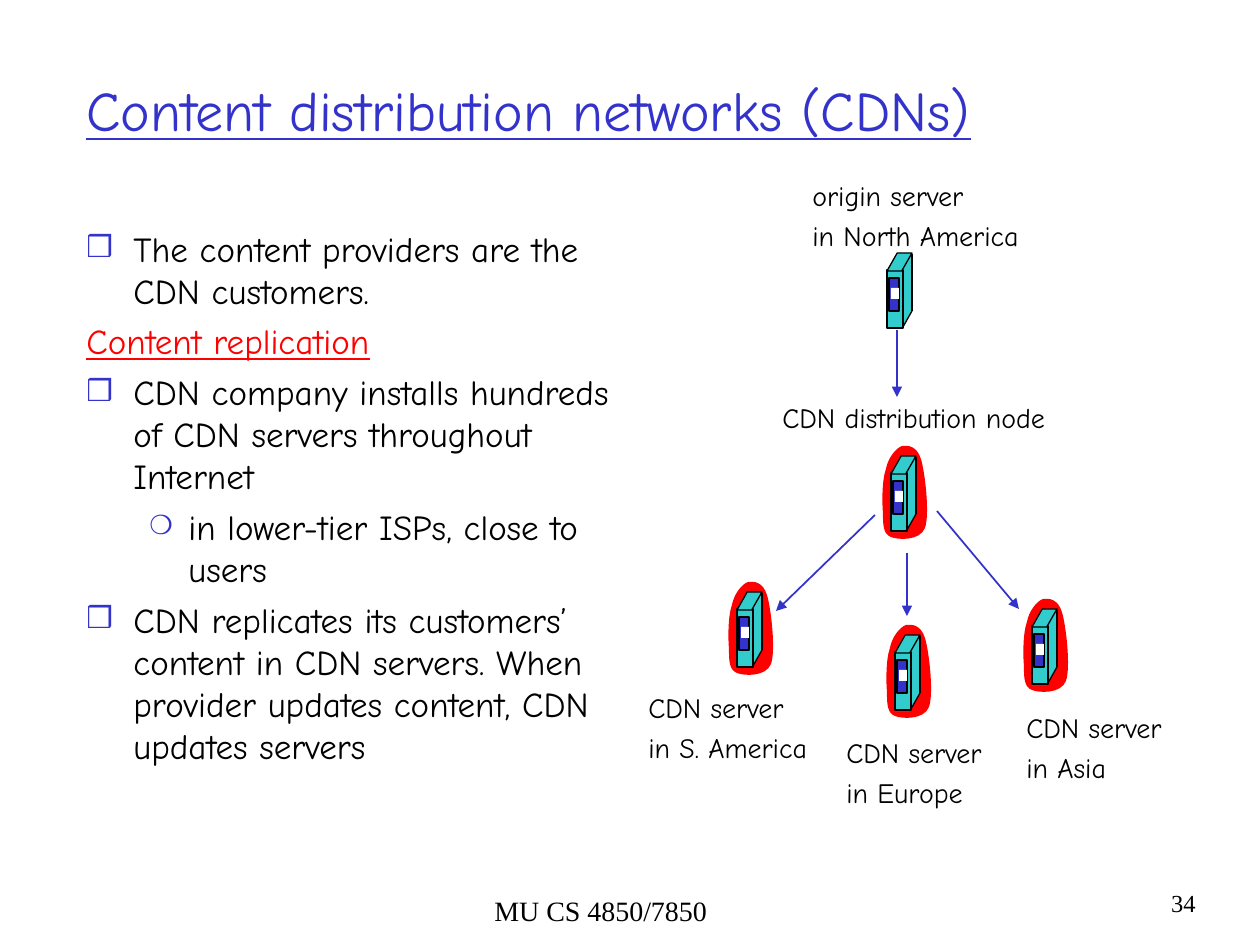
"""Build a slide on content distribution networks with a server diagram."""
from lxml.etree import SubElement
from pptx import Presentation
from pptx.dml.color import RGBColor
from pptx.enum.shapes import MSO_CONNECTOR, MSO_SHAPE
from pptx.enum.text import MSO_ANCHOR, MSO_AUTO_SIZE, PP_ALIGN
from pptx.oxml.ns import qn
from pptx.util import Pt

SCALE = 914400 / 126
COLOURS = {name: RGBColor.from_string(code) for name, code in {
    "black": "000000", "blue": "3333CC", "red": "FF0000",
    "teal": "33CCCC", "white": "FFFFFF"}.items()}
COMIC, TIMES = "Comic Neue", "Times New Roman"
FIXED = {"word_wrap": True}
LABEL = {"word_wrap": False, "auto_size": MSO_AUTO_SIZE.SHAPE_TO_FIT_TEXT}


def add_text(at, rows, size, name, frame_format, gap=4):
    box = page.shapes.add_textbox(*[round(value * SCALE) for value in at])
    frame = box.text_frame
    for key, value in frame_format.items():
        setattr(frame, key, value)
    for index, row in enumerate(rows):
        para = frame.add_paragraph() if index else frame.paragraphs[0]
        para.alignment = row.get("align", PP_ALIGN.LEFT)
        para.space_before = Pt(gap if index else 0)
        properties = para._p.get_or_add_pPr()
        if "indent" in row:
            left, hang = row["indent"]
            properties.set("marL", str(round(left * SCALE)))
            properties.set("indent", str(round(-hang * SCALE)))
        if "bullet" in row:
            character, percent = row["bullet"]
            colour = SubElement(properties, qn("a:buClr"))
            SubElement(colour, qn("a:srgbClr"), val=str(COLOURS["blue"]))
            SubElement(properties, qn("a:buSzPct"), val=str(percent * 1000))
            SubElement(properties, qn("a:buFont"), typeface=name)
            SubElement(properties, qn("a:buChar"), char=character)
        span = para.add_run()
        span.text = row["text"]
        font_format = {"size": Pt(size), "name": name, "underline": row.get("underline", False)}
        for key, value in font_format.items():
            setattr(span.font, key, value)
        span.font.color.rgb = COLOURS[row.get("colour", "black")]


def add_line(shapes, ends, colour, width):
    line = shapes.add_connector(MSO_CONNECTOR.STRAIGHT, *[round(end * SCALE) for end in ends])
    line.line.color.rgb = COLOURS[colour]
    line.line.width = Pt(width)
    SubElement(line._element.spPr, qn("a:effectLst"))
    return line


deck = Presentation()
deck.slide_width, deck.slide_height = round(1260 * SCALE), round(945 * SCALE)
page = deck.slides.add_slide(deck.slide_layouts[6])

add_text((482, 887, 238, 47), [{"text": "MU CS 4850/7850"}], 16, TIMES, LABEL)
add_text((1145, 882, 63, 63), [{"text": "34", "align": PP_ALIGN.RIGHT}], 14, TIMES, FIXED)
add_text((74, 31, 1106, 157),
         [{"text": "Content distribution networks (CDNs)", "colour": "blue", "underline": True}],
         32, COMIC, {**FIXED, "vertical_anchor": MSO_ANCHOR.MIDDLE})

level_one = {"indent": (47, 47), "bullet": ("❒", 85)}
level_two = {"indent": (102, 39), "bullet": ("❍", 75)}
heading = {"indent": (47, 47), "colour": "red", "underline": True}
add_text((74, 221, 561, 640), [
    {"text": "The content providers are the CDN customers.", **level_one},
    {"text": "Content replication", **heading},
    {"text": "CDN company installs hundreds of CDN servers throughout Internet", **level_one},
    {"text": "in lower-tier ISPs, close to users", **level_two},
    {"text": "CDN replicates its customers’ content in CDN servers. "
             "When provider updates content, CDN updates servers", **level_one},
], 20, COMIC, FIXED, gap=5)

blob_points = [
    (4, 24),
    (6, 13), (14, 3), (20, 1),
    (26, 0), (35, 1), (39, 14),
    (43, 27), (48, 69), (43, 83),
    (38, 96), (16, 95), (9, 92),
    (1, 89), (1, 79), (1, 68),
    (0, 57), (0, 35), (4, 24),
]
tower_parts = [
    (MSO_SHAPE.PARALLELOGRAM, (0, 58, 25, 18), "teal", False),
    (MSO_SHAPE.RECTANGLE, (13, 1, 11, 58), "teal", False),
    (MSO_SHAPE.RECTANGLE, (0, 17, 16, 58), "teal", True),
    (MSO_SHAPE.PARALLELOGRAM, (0, 0, 25, 18), "teal", True),
    (MSO_SHAPE.RECTANGLE, (2, 25, 10, 33), "blue", True),
    (MSO_SHAPE.RECTANGLE, (4, 35, 8, 11), "white", False),
]
tower_edges = [(25, 1, 25, 58), (25, 58, 16, 74)]
servers = [(887, 253, False), (737, 592, True), (895, 635, True),
           (1032, 609, True), (891, 456, True)]
for left, top, in_network in servers:
    shapes = page.shapes.add_group_shape().shapes
    if in_network:
        outline = [(round((left - 9 + x) * SCALE), round((top - 11 + y) * SCALE))
                   for x, y in blob_points]
        builder = shapes.build_freeform(*outline[0])
        builder.add_line_segments(outline[1:], close=True)
        blob = builder.convert_to_shape()
        blob.shadow.inherit = False
        blob.fill.solid()
        blob.fill.fore_color.rgb = COLOURS["red"]
        blob.line.fill.background()
        segments = list(blob._element.iter(qn("a:lnTo")))
        for index in range(0, 18, 3):
            curve = segments[index].makeelement(qn("a:cubicBezTo"))
            segments[index].addprevious(curve)
            for segment in segments[index:index + 3]:
                curve.append(segment[0])
                segment.getparent().remove(segment)
    for kind, (x, y, width, height), colour, outlined in tower_parts:
        part = shapes.add_shape(kind, *[
            round(value * SCALE) for value in (left + x, top + y, width, height)])
        part.shadow.inherit = False
        part.fill.solid()
        part.fill.fore_color.rgb = COLOURS[colour]
        if kind == MSO_SHAPE.PARALLELOGRAM:
            part.adjustments[0] = 0.57
        if outlined:
            part.line.color.rgb = COLOURS["black"]
            part.line.width = Pt(0.75)
        else:
            part.line.fill.background()
    for x1, y1, x2, y2 in tower_edges:
        add_line(shapes, (left + x1, top + y1, left + x2, top + y2), "black", 0.75)

labels = [
    ((800, 172, 234, 87), ["origin server", "in North America"]),
    ((770, 394, 291, 47), ["CDN distribution node"]),
    ((636, 684, 186, 87), ["CDN server", "in S. America"]),
    ((834, 729, 163, 87), ["CDN server", "in Europe"]),
    ((1014, 704, 163, 87), ["CDN server", "in Asia"]),
]
for at, lines in labels:
    add_text(at, [{"text": text} for text in lines], 16, COMIC, LABEL)

arrows = [(897, 330, 897, 397), (875, 515, 776, 611),
          (907, 553, 907, 616), (937, 511, 1019, 609)]
for ends in arrows:
    arrow = add_line(page.shapes, ends, "blue", 1)
    SubElement(arrow.line._get_or_add_ln(), qn("a:tailEnd"), type="triangle")

deck.save("out.pptx")
